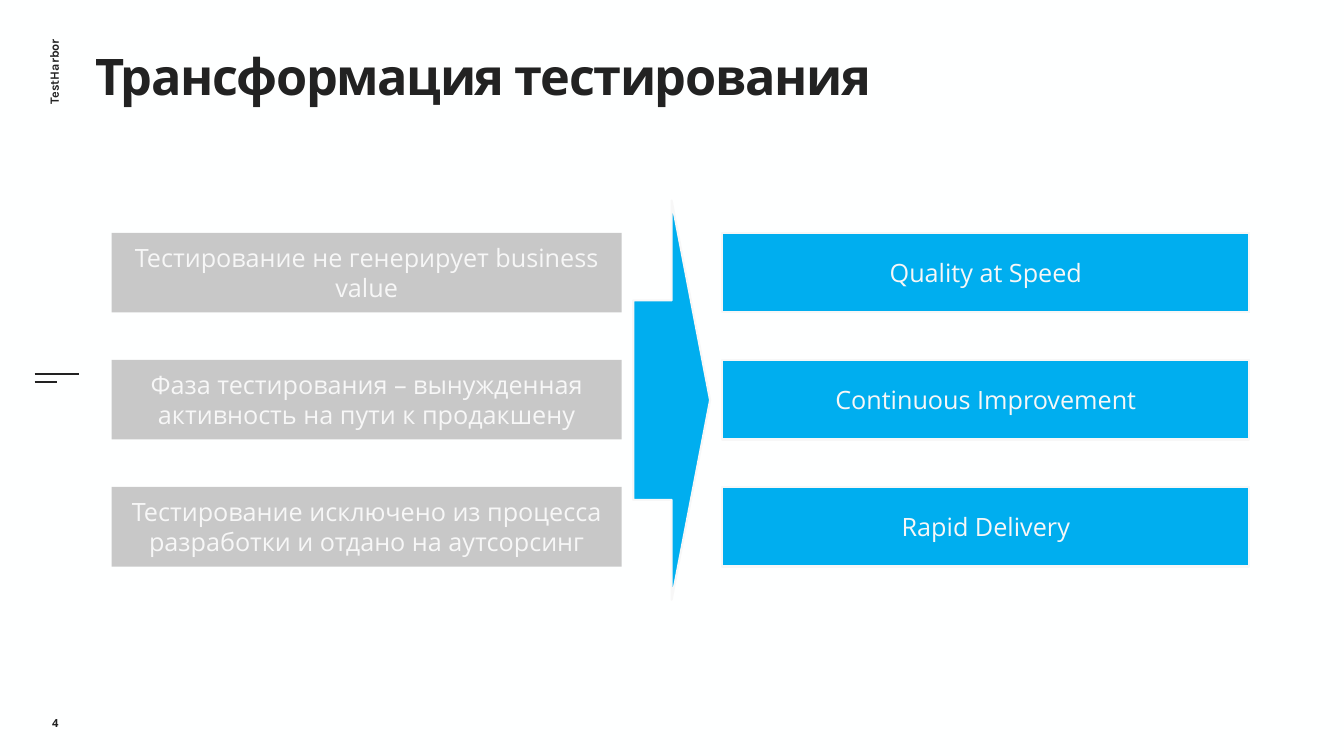
"""Build the slide on the transformation of testing."""
from lxml import etree
from pptx import Presentation
from pptx.dml.color import RGBColor
from pptx.enum.shapes import MSO_CONNECTOR, MSO_SHAPE
from pptx.enum.text import MSO_ANCHOR, MSO_AUTO_SIZE, PP_ALIGN
from pptx.oxml.ns import qn
from pptx.util import Pt

RECTANGLE, RIGHT_ARROW = MSO_SHAPE.RECTANGLE, MSO_SHAPE.RIGHT_ARROW
STRAIGHT = MSO_CONNECTOR.STRAIGHT
TOP, MIDDLE = MSO_ANCHOR.TOP, MSO_ANCHOR.MIDDLE
LEFT, CENTER = PP_ALIGN.LEFT, PP_ALIGN.CENTER
GROW = MSO_AUTO_SIZE.SHAPE_TO_FIT_TEXT

PAPER = RGBColor(0xFE, 0xFF, 0xFF)
INK = RGBColor(0x22, 0x22, 0x22)
GREY = RGBColor(0xC8, 0xC8, 0xC8)
BLUE = RGBColor(0x00, 0xAE, 0xEF)
PALE = RGBColor(0xF7, 0xF7, 0xF7)

HEADING_FONT = "Karla"
BODY_FONT = "Open Sans"

BEFORE = [
    "Тестирование не генерирует business value",
    "Фаза тестирования – вынужденная активность на пути к продакшену",
    "Тестирование исключено из процесса разработки и отдано на аутсорсинг",
]
AFTER = ["Quality at Speed", "Continuous Improvement", "Rapid Delivery"]
FIRST_TOP, PITCH, CARD_HEIGHT = 166.3, 90.75, 56.9


def write(frame, text, *, size, color, font=BODY_FONT, bold=False, align=LEFT,
          anchor=TOP, spacing=None, tracking=None):
    frame.vertical_anchor = anchor
    paragraph = frame.paragraphs[0]
    paragraph.alignment = align
    if spacing:
        paragraph.line_spacing = spacing
    run = paragraph.add_run()
    run.text = text
    run.font.size = Pt(size)
    run.font.name = font
    run.font.bold = bold
    run.font.color.rgb = color
    if tracking:
        run.font._element.set("spc", str(tracking * 100))


class Board:
    def __init__(self, slide, line_width=1.5):
        self.slide = slide
        self.line_width = Pt(line_width)
        slide.background.fill.solid()
        slide.background.fill.fore_color.rgb = PAPER

    def label(self, text, box, insets=(7.2, 3.6, 7.2, 3.6), rotation=0, wrap=True, **style):
        holder = self.slide.shapes.add_textbox(*map(Pt, box))
        holder.rotation = rotation
        frame = holder.text_frame
        frame.word_wrap = wrap
        if not wrap:
            frame.auto_size = GROW
        (frame.margin_left, frame.margin_top,
         frame.margin_right, frame.margin_bottom) = map(Pt, insets)
        write(frame, text, **style)

    def block(self, kind, box, fill, outline=None):
        block = self.slide.shapes.add_shape(kind, *map(Pt, box))
        block.shadow.inherit = False
        block.fill.solid()
        block.fill.fore_color.rgb = fill
        if outline is None:
            block.line.fill.background()
        else:
            block.line.color.rgb = outline
            block.line.width = self.line_width
        return block

    def card_column(self, texts, left, width, fill, outline=None):
        for row, text in enumerate(texts):
            box = (left, FIRST_TOP + row * PITCH, width, CARD_HEIGHT)
            card = self.block(RECTANGLE, box, fill, outline)
            card.text_frame.word_wrap = True
            write(card.text_frame, text, size=18, color=PALE, align=CENTER, anchor=MIDDLE)

    def dash(self, left, top, length):
        dash = self.slide.shapes.add_connector(
            STRAIGHT, Pt(left), Pt(top), Pt(left + length), Pt(top))
        dash.line.color.rgb = INK
        dash.line.width = self.line_width
        etree.SubElement(dash._element.spPr, qn("a:effectLst"))


def main():
    deck = Presentation()
    deck.slide_width, deck.slide_height = Pt(960), Pt(540)
    board = Board(deck.slides.add_slide(deck.slide_layouts[6]))

    board.label("TestHarbor", (7.9, 41.8, 61.2, 18), rotation=270, wrap=False,
                size=9, color=INK, font=HEADING_FONT, bold=True)
    board.dash(24.8, 267.1, 31.7)
    board.dash(24.8, 272.9, 15.8)
    board.label("4", (0, 501.8, 79.2, 28.8), size=8, color=INK, bold=True,
                align=CENTER, anchor=MIDDLE)
    board.label("Трансформация тестирования", (68, 25.2, 720.7, 98.6),
                insets=(0, 15.1, 0, 0), size=36, color=INK, font=HEADING_FONT,
                bold=True, spacing=0.8, tracking=-1)

    board.card_column(BEFORE, 79.8, 364.3, GREY)
    board.card_column(AFTER, 515.9, 376.6, BLUE, PALE)
    board.block(RIGHT_ARROW, (452.3, 143.3, 54.9, 285.1), BLUE, PALE)

    deck.save("out.pptx")


if __name__ == "__main__":
    main()
